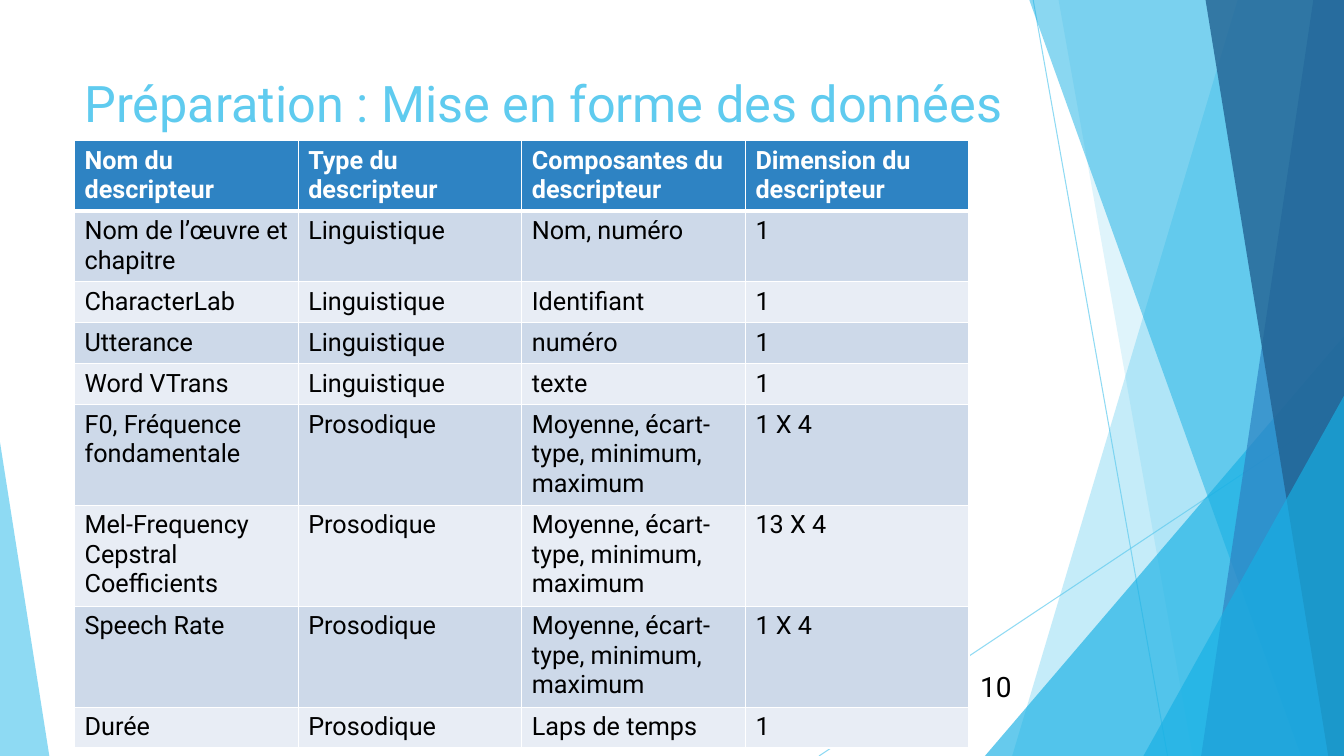
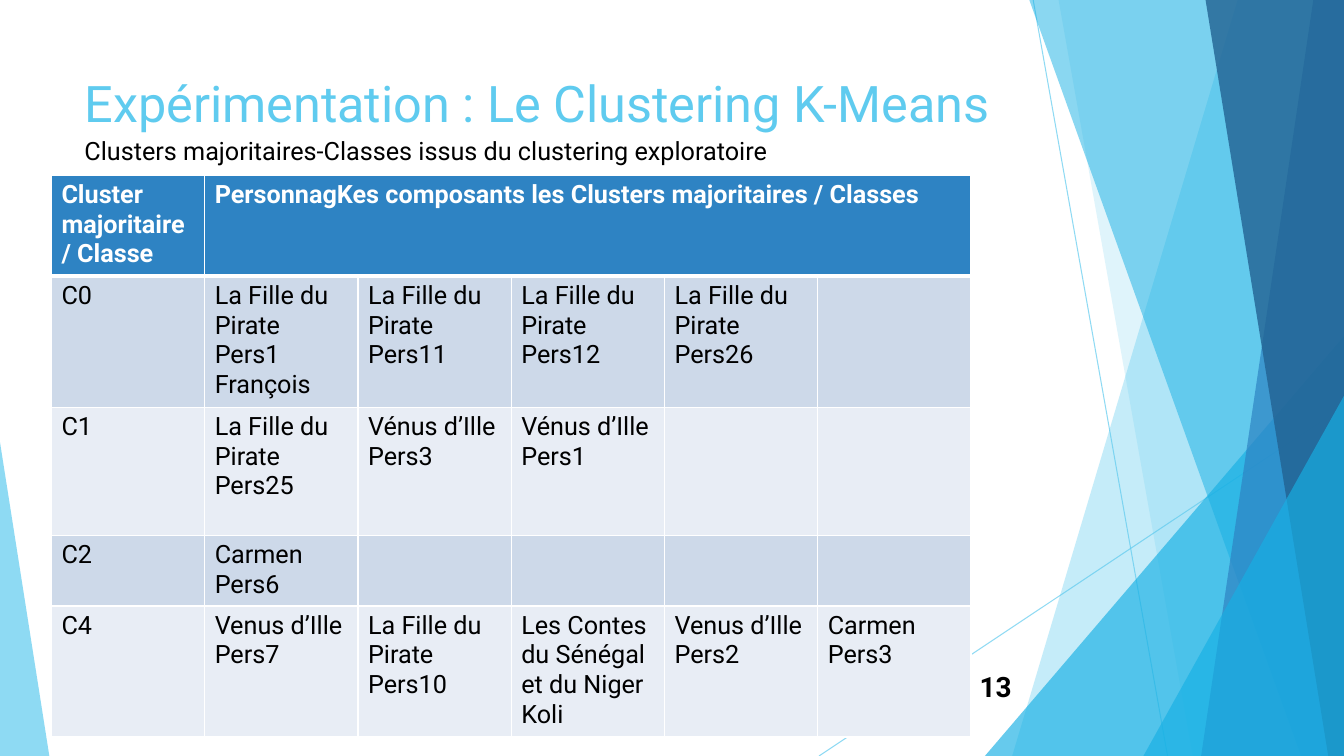
from pptx import Presentation
from pptx.dml.color import RGBColor
from pptx.enum.shapes import MSO_CONNECTOR, MSO_SHAPE
from pptx.enum.text import MSO_ANCHOR, PP_ALIGN
from pptx.oxml.ns import qn
from pptx.util import Pt
from lxml.etree import SubElement

PX = 9525
WIDTH, HEIGHT = 1280, 720
FONT = "Roboto"
SKY = RGBColor(0x5F, 0xCB, 0xEF)
CYAN = RGBColor(0x17, 0xB0, 0xE4)
BLUE = RGBColor(0x2E, 0x83, 0xC3)
NAVY = RGBColor(0x22, 0x62, 0x92)
ROW_DARK = RGBColor(0xCD, 0xD9, 0xE9)
ROW_LIGHT = RGBColor(0xE8, 0xED, 0xF5)
WHITE = RGBColor(0xFF, 0xFF, 0xFF)
BLACK = RGBColor(0, 0, 0)

STATS = "Moyenne, écart-type, minimum, maximum"
PIRATE = "La Fille du Pirate\n"

DESCRIPTORS = [
    ["Nom du descripteur", "Type du descripteur", "Composantes du descripteur", "Dimension du descripteur"],
    ["Nom de l’œuvre et chapitre", "Linguistique", "Nom, numéro", "1"],
    ["CharacterLab", "Linguistique", "Identifiant", "1"],
    ["Utterance", "Linguistique", "numéro", "1"],
    ["Word VTrans", "Linguistique", "texte", "1"],
    ["F0, Fréquence fondamentale", "Prosodique", STATS, "1 X 4"],
    ["Mel-Frequency Cepstral Coefficients", "Prosodique", STATS, "13 X 4"],
    ["Speech Rate", "Prosodique", STATS, "1 X 4"],
    ["Durée", "Prosodique", "Laps de temps", "1"],
]
CLUSTERS = [
    ["Cluster majoritaire / Classe", "PersonnagKes composants les Clusters majoritaires / Classes"],
    ["C0", PIRATE + "Pers1 François", PIRATE + "Pers11", PIRATE + "Pers12", PIRATE + "Pers26"],
    ["C1", PIRATE + "Pers25", "Vénus d’Ille\nPers3", "Vénus d’Ille\nPers1"],
    ["C2", "Carmen\nPers6"],
    ["C4", "Venus d’Ille Pers7", PIRATE + "Pers10", "Les Contes du Sénégal et du Niger\nKoli",
     "Venus d’Ille\nPers2", "Carmen Pers3"],
]


def px(*values):
    return [v * PX for v in values]


def set_alpha(shape, percent):
    for color in shape.element.iter(qn("a:srgbClr")):
        SubElement(color, qn("a:alpha"), val=str(percent * 1000))


def paint(shape, color, alpha):
    shape.shadow.inherit = False
    shape.fill.solid()
    shape.fill.fore_color.rgb = color
    shape.line.fill.background()
    set_alpha(shape, alpha)


def add_ray(s, x1, y1, x2, y2):
    ray = s.shapes.add_connector(MSO_CONNECTOR.STRAIGHT, *px(x1, y1, x2, y2))
    ray.line.color.rgb = SKY
    ray.line.width = Pt(0.75)
    set_alpha(ray, 70)
    SubElement(ray.element.spPr, qn("a:effectLst"))


def add_band(s, top_x, bottom_x, color, alpha):
    outline = s.shapes.build_freeform(top_x, -1, scale=PX)
    outline.add_line_segments([(WIDTH, -1), (WIDTH, HEIGHT), (bottom_x, HEIGHT)], close=True)
    paint(outline.convert_to_shape(), color, alpha)


def add_triangle(s, x, y, w, apex, color, alpha):
    sp = s.shapes.add_shape(MSO_SHAPE.ISOSCELES_TRIANGLE, *px(x, y, w, HEIGHT - y))
    sp.adjustments[0] = apex
    paint(sp, color, alpha)


def add_background(s):
    add_ray(s, 984, 0, 1112, HEIGHT)
    add_ray(s, WIDTH, 387, 780, HEIGHT)
    add_band(s, 1179, 964, SKY, 36)
    add_band(s, 1008, 1136, SKY, 20)
    add_triangle(s, 938, 320, 342, 1, CYAN, 66)
    add_band(s, 980, 1239, CYAN, 50)
    add_band(s, 1251, 1144, BLUE, 70)
    add_band(s, 1148, 1265, NAVY, 80)
    add_triangle(s, 1089, 377, 191, 1, CYAN, 66)
    add_triangle(s, 0, 421, 47, 0, SKY, 70)


def write(tf, text, size, color, bold=False, align=PP_ALIGN.LEFT):
    tf.word_wrap = True
    for i, line in enumerate(text.split("\n")):
        p = tf.add_paragraph() if i else tf.paragraphs[0]
        p.alignment = align
        r = p.add_run()
        r.text = line
        r.font.name = FONT
        r.font.size = Pt(size)
        r.font.bold = bold
        r.font.color.rgb = color


def add_text(s, x, y, w, h, text, size, color, **style):
    tf = s.shapes.add_textbox(*px(x, y, w, h)).text_frame
    write(tf, text, size, color, **style)
    return tf


def add_number(s, number, bold=False):
    tf = add_text(s, 901, 635, 72, 38, number, 20, BLACK, bold=bold, align=PP_ALIGN.RIGHT)
    tf.vertical_anchor = MSO_ANCHOR.MIDDLE


def set_borders(cell, row):
    tc_pr = cell._tc.get_or_add_tcPr()
    widths = {"L": 1, "R": 1, "T": 3 if row == 1 else 1, "B": 3 if row == 0 else 1}
    for side, width in widths.items():
        ln = SubElement(tc_pr, qn(f"a:ln{side}"), w=str(Pt(width)))
        fill = SubElement(ln, qn("a:solidFill"))
        SubElement(fill, qn("a:srgbClr"), val=str(WHITE))


def add_table(s, x, y, col_w, heights, rows, columns):
    frame = s.shapes.add_table(len(rows), columns, *px(x, y, col_w * columns, sum(heights)))
    table = frame.table
    for col in table.columns:
        col.width = col_w * PX
    for i, (row, height) in enumerate(zip(rows, heights)):
        table.rows[i].height = height * PX
        for j in range(columns):
            cell = table.cell(i, j)
            set_borders(cell, i)
            cell.fill.solid()
            cell.fill.fore_color.rgb = BLUE if i == 0 else ROW_DARK if i % 2 else ROW_LIGHT
            if j < len(row):
                write(cell.text_frame, row[j], 18, BLACK if i else WHITE, bold=i == 0)
    return table


def add_slide(prs, title):
    s = prs.slides.add_slide(prs.slide_layouts[6])
    add_background(s)
    add_text(s, 71, 64, 902, 80, title, 36, SKY)
    return s


def main():
    prs = Presentation()
    prs.slide_width, prs.slide_height = px(WIDTH, HEIGHT)

    s = add_slide(prs, "Préparation : Mise en forme des données")
    add_table(s, 71, 134, 213, [65, 65, 39, 39, 39, 94, 94, 94, 39], DESCRIPTORS, 4)
    add_number(s, "10")

    s = add_slide(prs, "Expérimentation : Le Clustering K-Means")
    table = add_table(s, 49, 167, 146, [94, 122, 122, 66, 122], CLUSTERS, 6)
    table.cell(0, 1).merge(table.cell(0, 5))
    add_number(s, "13", bold=True)
    add_text(s, 71, 124, 824, 38, "Clusters majoritaires-Classes issus du clustering exploratoire", 18, BLACK)

    prs.save("out.pptx")


if __name__ == "__main__":
    main()
